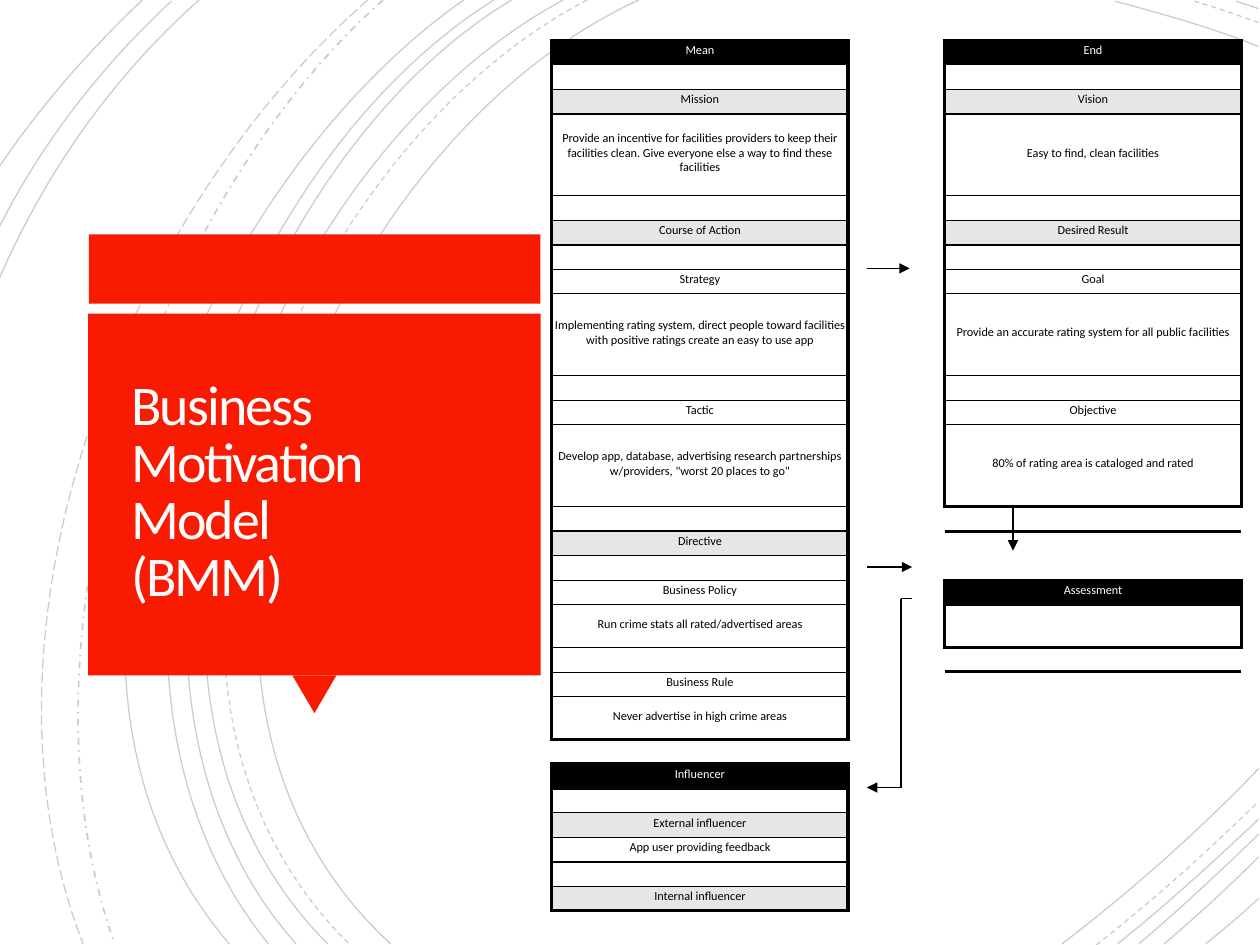
"""Business Motivation Model slide: title callout, model table and flow arrows."""
from dataclasses import dataclass

from lxml import etree
from pptx import Presentation
from pptx import util as u
from pptx.dml import color
from pptx.enum import dml, shapes, text
from pptx.oxml import ns


@dataclass(frozen=True)
class Theme:
    """Colours, type sizes, line widths and grid unit."""
    font: str = "Calibri"
    ink: str = "000000"
    paper: str = "FFFFFF"
    accent: str = "F81B02"
    band: str = "E7E6E6"
    title_ink: str = "FFFEFF"
    title_size: float = 32
    cell_size: float = 7
    hairline: float = 0.75
    frame: float = 2
    curve_alpha: int = 20000
    plain_table: str = "{2D5ABB26-0587-4C30-8999-92F81FD0307C}"
    unit: int = u.Inches(0.1)


def assign(target, values):
    """Set every attribute in a dict of format values."""
    for name, value in values.items():
        setattr(target, name, value)


def paint(fill, rgb):
    """Fill with a colour, or clear the fill when there is none."""
    if rgb is None:
        fill.background()
    else:
        fill.solid()
        fill.fore_color.rgb = color.RGBColor.from_string(rgb)


def edge_weight(above, below):
    """Give the rule width between two stacked kinds of row."""
    pair = above + below
    if "." in pair:
        return 0 if pair == ".." else Theme.frame
    return 1 if "B" in pair else 0.5 if "L" in pair else 0


class Deck:
    """Hold the theme and current slide and draw each kind of element."""

    def __init__(self, theme, columns, rows):
        """Open a slide that measures the given grid columns and rows."""
        self.theme = theme
        self.presentation = Presentation()
        assign(self.presentation, {"slide_width": self.grid(columns), "slide_height": self.grid(rows)})
        self.slide = self.presentation.slides.add_slide(self.presentation.slide_layouts[5])

    def grid(self, count):
        """Turn grid units into a length."""
        return u.Emu(round(count * self.theme.unit))

    def box(self, *units):
        """Turn a run of grid units into lengths."""
        return [self.grid(count) for count in units]

    def style_text(self, font, size, rgb):
        """Apply the theme font in a size and colour."""
        assign(font, {"name": self.theme.font, "size": u.Pt(size)})
        font.color.rgb = color.RGBColor.from_string(rgb)

    def curve(self, points, dash=dml.MSO_LINE.SOLID, width=Theme.hairline):
        """Draw a faint cubic curve from its end and control points."""
        start, *bends = [tuple(self.box(10 * x, 10 * y)) for x, y in points]
        builder = self.slide.shapes.build_freeform(*start, scale=1.0)
        builder.add_line_segments(bends, close=False)
        arc = builder.convert_to_shape()
        outline = arc.element.spPr.find(".//" + ns.qn("a:path"))
        bezier = etree.SubElement(outline, ns.qn("a:cubicBezTo"))
        for segment in outline.findall(ns.qn("a:lnTo")):
            bezier.append(segment[0])
            outline.remove(segment)
        arc.shadow.inherit = False
        paint(arc.fill, None)
        paint(arc.line.fill, self.theme.ink)
        assign(arc.line, {"width": u.Pt(width), "dash_style": dash})
        tint = arc.element.spPr.find(".//" + ns.qn("a:srgbClr"))
        etree.SubElement(tint, ns.qn("a:alpha"), val=str(self.theme.curve_alpha))

    def block(self, kind, place, rotation=0):
        """Draw a borderless accent shape."""
        panel = self.slide.shapes.add_shape(kind, *self.box(*place))
        panel.shadow.inherit = False
        panel.rotation = rotation
        paint(panel.fill, self.theme.accent)
        paint(panel.line.fill, None)

    def title(self, words, place, inset):
        """Move the title placeholder to the front and format it."""
        heading = self.slide.shapes.title
        assign(heading, dict(zip(("left", "top", "width", "height"), self.box(*place))))
        frame = heading.text_frame
        frame.text = words
        margins = {f"margin_{side}": self.grid(inset) for side in ("left", "top", "right", "bottom")}
        assign(frame, {**margins, "word_wrap": True, "auto_size": text.MSO_AUTO_SIZE.NONE,
                       "vertical_anchor": text.MSO_ANCHOR.MIDDLE})
        paragraph = frame.paragraphs[0]
        assign(paragraph, {"alignment": text.PP_ALIGN.LEFT, "line_spacing": 0.85})
        for run in paragraph.runs:
            self.style_text(run.font, self.theme.title_size, self.theme.title_ink)
            run.font._element.set("spc", "-110")
        self.slide.shapes._spTree.append(heading.element)

    def cell(self, cell, kind, words, weights):
        """Fill one table cell with its rules, shade and words."""
        properties = cell._tc.get_or_add_tcPr()
        for side, weight in weights.items():
            if weight:
                rule = etree.SubElement(properties, ns.qn(f"a:ln{side}"), w=str(u.Pt(weight)))
                solid = etree.SubElement(rule, ns.qn("a:solidFill"))
                etree.SubElement(solid, ns.qn("a:srgbClr"), val=self.theme.ink)
        paint(cell.fill, {"H": self.theme.ink, "B": self.theme.band}.get(kind))
        assign(cell, {"margin_left": 0, "margin_right": 0, "margin_top": 0,
                      "margin_bottom": self.grid(0.3), "vertical_anchor": text.MSO_ANCHOR.MIDDLE})
        paragraph = cell.text_frame.paragraphs[0]
        paragraph.alignment = text.PP_ALIGN.CENTER
        if words:
            run = paragraph.add_run()
            run.text = words
            self.style_text(run.font, self.theme.cell_size, self.theme.paper if kind == "H" else self.theme.ink)
        else:
            etree.SubElement(paragraph._p, ns.qn("a:endParaRPr"), sz=str(int(self.theme.cell_size * 100)))

    def table(self, place, widths, heights, columns):
        """Draw framed stacks of rows side by side in one table."""
        grid = self.slide.shapes.add_table(len(heights), len(widths), *self.box(*place)).table
        assign(grid, {"first_row": False, "horz_banding": False})
        grid._tbl.tblPr.find(ns.qn("a:tableStyleId")).text = self.theme.plain_table
        for track, sizes, name in ((grid.columns, widths, "width"), (grid.rows, heights, "height")):
            for part, size in zip(track, sizes):
                setattr(part, name, self.grid(size))
        for column, (kinds, entries) in enumerate(columns):
            entries = iter(entries)
            padded = f".{kinds}."
            for row, kind in enumerate(kinds):
                side = 0 if kind == "." else self.theme.frame
                weights = {"L": side, "R": side, "T": edge_weight(padded[row], kind),
                           "B": edge_weight(kind, padded[row + 2])}
                self.cell(grid.cell(row, column), kind, next(entries) if kind in "HBLT" else "", weights)

    def line(self, start, end, arrow=True):
        """Draw a straight connector, with an arrowhead if asked."""
        link = self.slide.shapes.add_connector(shapes.MSO_CONNECTOR.STRAIGHT, *self.box(*start, *end))
        paint(link.line.fill, self.theme.ink)
        link.line.width = u.Pt(self.theme.hairline)
        properties = link.element.spPr
        if arrow:
            etree.SubElement(properties.find(ns.qn("a:ln")), ns.qn("a:tailEnd"), type="triangle")
        etree.SubElement(properties, ns.qn("a:effectLst"))


DASH, DASH_DOT, LONG = dml.MSO_LINE.DASH, dml.MSO_LINE.DASH_DOT, dml.MSO_LINE.LONG_DASH
CURVES = [
    (((5.07, 0), (2.56, 1.15), (0.83, 5.4), (3.1, 7.49)),),
    (((9.99, 0.37), (9.62, 0.22), (9.22, 0.11), (8.85, 0.01)),),
    (((8.43, 7.49), (8.98, 7.07), (9.51, 6.6), (9.99, 6.1)),),
    (((4.66, 0), (2.26, 1.25), (0.63, 5.38), (2.77, 7.49)), DASH),
    (((9.99, 0.18), (9.82, 0.12), (9.65, 0.06), (9.48, 0.01)), DASH),
    (((8.7, 7.5), (9.15, 7.15), (9.58, 6.76), (9.99, 6.36)), DASH),
    (((4.47, 0), (2.11, 1.27), (0.5, 5.37), (2.6, 7.49)),),
    (((9.99, 0.07), (9.93, 0.05), (9.87, 0.03), (9.81, 0.01)),),
    (((8.87, 7.49), (9.26, 7.18), (9.63, 6.84), (9.99, 6.5)),),
    (((4.06, 0), (1.85, 1.33), (0.5, 5.41), (2.35, 7.49)),),
    (((9.04, 7.49), (9.37, 7.21), (9.68, 6.92), (9.99, 6.62)),),
    (((3.92, 0), (1.72, 1.38), (0.38, 5.34), (2.13, 7.49)),),
    (((9.24, 7.49), (9.5, 7.27), (9.75, 7.04), (9.99, 6.8)),),
    (((3.68, 0), (1.58, 1.47), (-0.07, 5.29), (1.82, 7.49)),),
    (((9.57, 7.49), (9.71, 7.38), (9.85, 7.26), (9.99, 7.13)),),
    (((3.04, 0), (1.17, 1.66), (0.06, 5.09), (0.91, 7.49)), DASH_DOT, 1),
    (((2.92, 0), (0.98, 1.69), (-0.31, 4.99), (0.66, 7.49)), LONG),
    (((1.58, 0), (0.88, 0.62), (0.35, 1.39), (-0.01, 2.22)),),
    (((1.36, 0.01), (0.79, 0.54), (0.33, 1.14), (-0.01, 1.81)),),
    (((1.13, 0), (0.71, 0.4), (0.32, 0.84), (-0.01, 1.33)),),
]
MEANS = ("H_BT_B_LT_LT_B_LT_LT.H_BT_B", [
    "Mean", "Mission",
    "Provide an incentive for facilities providers to keep their facilities clean. "
    "Give everyone else a way to find these facilities",
    "Course of Action", "Strategy",
    "Implementing rating system, direct people toward facilities with positive ratings create an easy to use app",
    "Tactic", 'Develop app, database, advertising research partnerships w/providers, "worst 20 places to go"',
    "Directive", "Business Policy", "Run crime stats all rated/advertised areas",
    "Business Rule", "Never advertise in high crime areas",
    "Influencer", "External influencer", "App user providing feedback", "Internal influencer"])
ENDS = ("H_BT_B_LT_LT...H_" + "." * 10, [
    "End", "Vision", "Easy to find, clean facilities", "Desired Result", "Goal",
    "Provide an accurate rating system for all public facilities",
    "Objective", "80% of rating area is cataloged and rated", "Assessment"])
TALL_ROWS = {3: 6.5, 8: 6.5, 11: 6.5, 16: 3.4, 19: 3.4}


def main():
    """Build the slide and save it."""
    deck = Deck(Theme(), 100, 75)
    for curve in CURVES:
        deck.curve(*curve)
    deck.block(shapes.MSO_SHAPE.RECTANGLE, (7.05, 18.6, 35.85, 5.5))
    deck.block(shapes.MSO_SHAPE.ISOSCELES_TRIANGLE, (23.2, 53.6, 3.5, 3), 180)
    deck.block(shapes.MSO_SHAPE.RECTANGLE, (7, 24.9, 35.9, 28.7))
    deck.title("Business\vMotivation\vModel\v(BMM)", (7.9, 25.7, 34, 27), 2.5)
    count = len(MEANS[0])
    low_row = (69.1 - sum(TALL_ROWS.values())) / (count - len(TALL_ROWS))
    heights = [TALL_ROWS.get(row, low_row) for row in range(count)]
    deck.table((43.8, 3.2, 54.7, 69.1), (23.5, 7.7, 23.5), heights, (MEANS, ("." * count, []), ENDS))
    for arrow in (((68.8, 21.3), (72.2, 21.3)), ((68.8, 45), (72.4, 45)), ((80.4, 40.1), (80.4, 43.7))):
        deck.line(*arrow)
    feedback = ((72.4, 47.5), (71.5, 47.5), (71.5, 62.5), (68.8, 62.5))
    for start, end in zip(feedback, feedback[1:]):
        deck.line(start, end, arrow=end == feedback[-1])
    deck.presentation.save("out.pptx")


if __name__ == "__main__":
    main()
